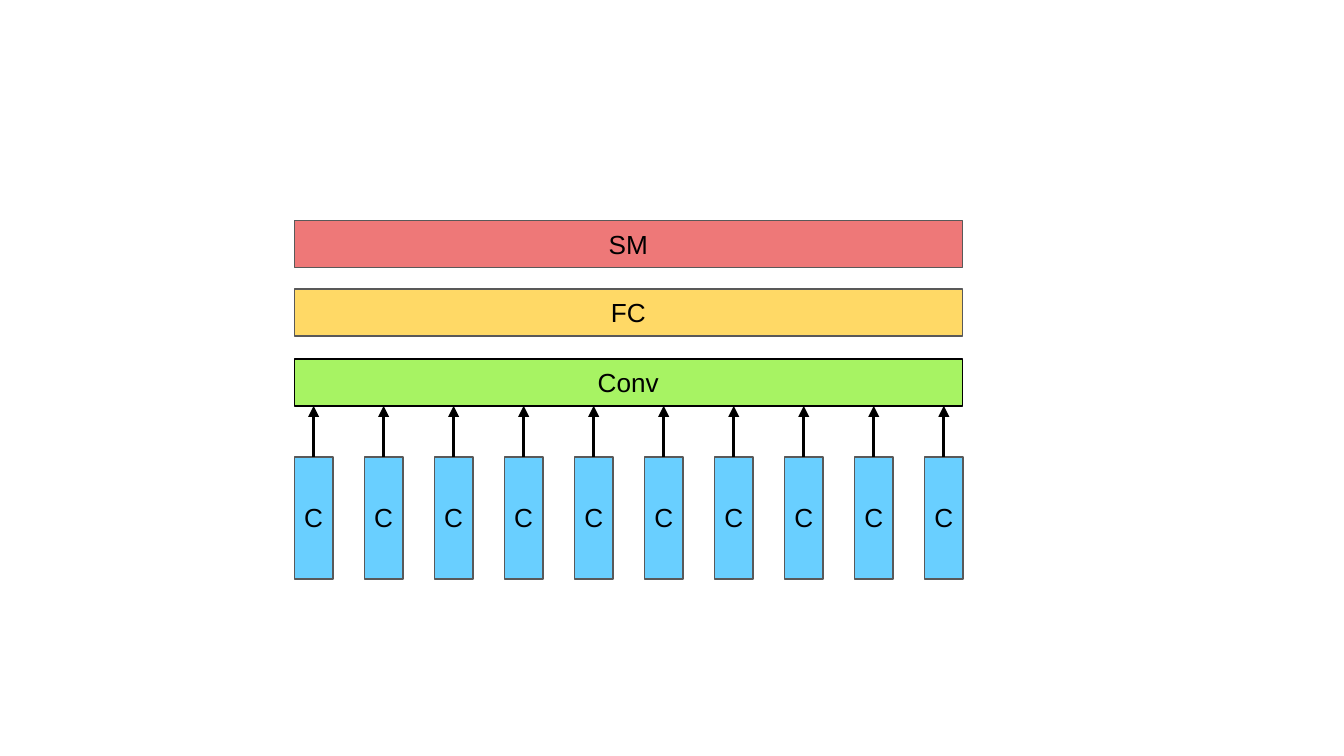
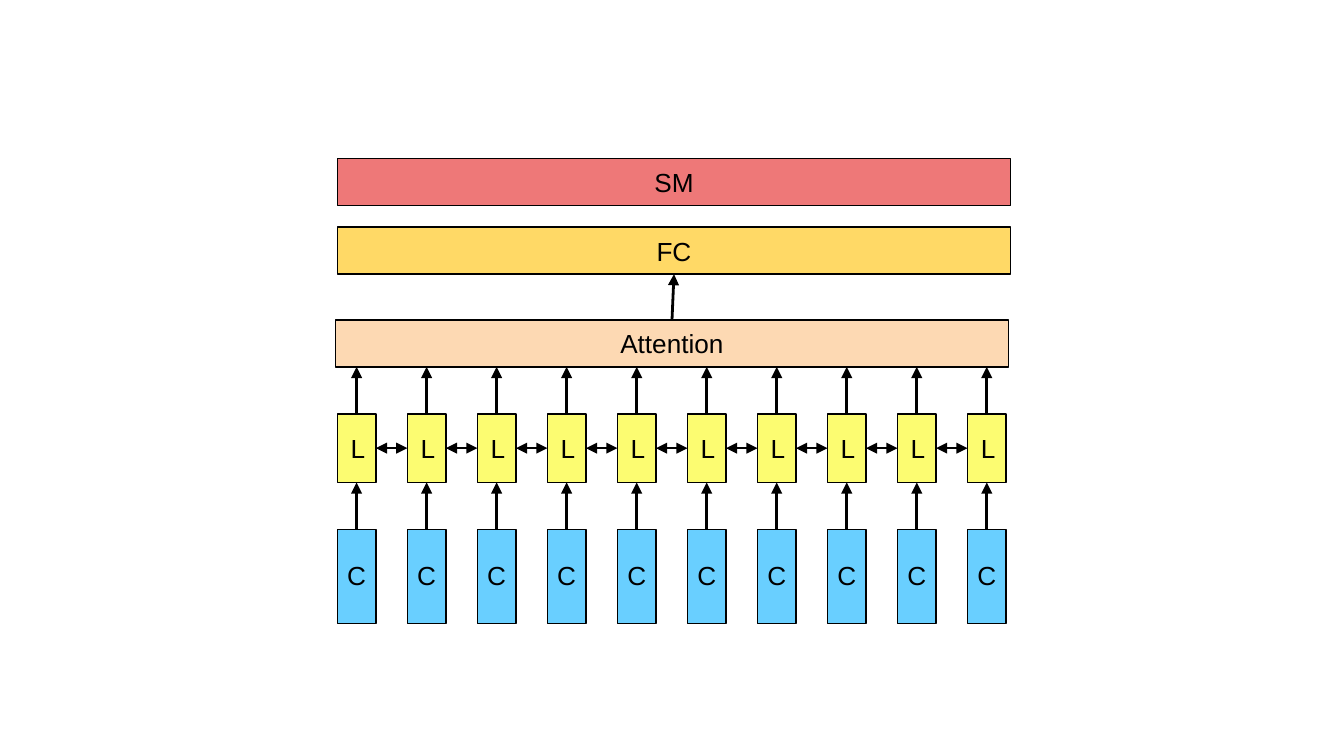
from dataclasses import dataclass

from pptx import Presentation
from pptx import util as u
from pptx.dml.color import RGBColor
from pptx.enum import shapes, text
from pptx.oxml.ns import qn
from lxml import etree

# Shared look
BLACK = RGBColor(0x00, 0x00, 0x00)
GREY = RGBColor(0x59, 0x59, 0x59)
BLUE = RGBColor(0x69, 0xCF, 0xFF)
RED = RGBColor(0xEE, 0x78, 0x78)
GOLD = RGBColor(0xFF, 0xD9, 0x66)
GREEN = RGBColor(0xA7, 0xF3, 0x63)
YELLOW = RGBColor(0xFC, 0xFC, 0x71)
PEACH = RGBColor(0xFD, 0xD9, 0xB3)
FONT = {"name": "Arial", "size": u.Pt(14)}
THIN, THICK = u.Pt(0.75), u.Pt(1.5)
TOP, LEFT, BOTTOM, RIGHT = range(4)

# The slide is a 16:9 grid of square units, 1000 columns wide
UNIT = u.Inches(0.01)
COLUMNS, ROWS = 1000, 562.5
BAR_HEIGHT = 35
CELLS, PITCH, CELL_WIDTH = 10, 52.1, 28.7
LABEL_HEIGHT = 45


@dataclass
class Box:
    left: float
    top: float
    width: float
    height: float

    def stack(self, heights, gaps):
        """Split the box into rows, from top to bottom."""
        rows, top = [], self.top
        for height, gap in zip(heights, [*gaps, 0]):
            rows.append(Box(self.left, top, self.width, height))
            top += height + gap
        return rows

    def cells(self):
        return [Box(self.left + i * PITCH, self.top, CELL_WIDTH, self.height)
                for i in range(CELLS)]

    def label(self):
        """A text area one pitch wide, centred on the box."""
        return Box(self.left + (self.width - PITCH) / 2,
                   self.top + (self.height - LABEL_HEIGHT) / 2,
                   PITCH, LABEL_HEIGHT)

    def lengths(self):
        return [round(n * UNIT) for n in
                (self.left, self.top, self.width, self.height)]


def write(shape, words, align, anchor):
    frame = shape.text_frame
    margins = {f"margin_{side}": u.Inches(0.1)
               for side in ("left", "top", "right", "bottom")}
    for name, value in {**margins, "word_wrap": True,
                        "vertical_anchor": anchor}.items():
        setattr(frame, name, value)
    para = frame.paragraphs[0]
    para.alignment = align
    span = para.add_run()
    span.text = words
    for name, value in FONT.items():
        setattr(span.font, name, value)
    span.font.color.rgb = BLACK


def add_block(page, box, fill, line, words=None, align=text.PP_ALIGN.CENTER):
    block = page.shapes.add_shape(shapes.MSO_SHAPE.RECTANGLE, *box.lengths())
    block.shadow.inherit = False
    block.fill.solid()
    block.fill.fore_color.rgb = fill
    block.line.color.rgb = line
    block.line.width = THIN
    if words:
        write(block, words, align, text.MSO_ANCHOR.MIDDLE)
    return block


def add_arrow(page, start, start_side, end, end_side=None, width=THICK,
              ends=("tailEnd",)):
    """Join two blocks; without an end side, go straight up to the end block."""
    middle = start.left + start.width // 2
    arrow = page.shapes.add_connector(
        shapes.MSO_CONNECTOR.STRAIGHT,
        middle, start.top, middle, end.top + end.height)
    arrow.begin_connect(start, start_side)
    if end_side is not None:
        arrow.end_connect(end, end_side)
    arrow.line.color.rgb = BLACK
    arrow.line.width = width
    properties = arrow._element.spPr
    for tag in ends:
        etree.SubElement(properties.find(qn("a:ln")), qn(f"a:{tag}"),
                         type="triangle")
    etree.SubElement(properties, qn("a:effectLst"))


def add_char_row(page, row, line):
    """Blue character cells, each with its own label."""
    blocks = []
    for cell in row.cells():
        blocks.append(add_block(page, cell, BLUE, line))
        label = page.shapes.add_textbox(*cell.label().lengths())
        write(label, "C", text.PP_ALIGN.CENTER, text.MSO_ANCHOR.TOP)
    return blocks


def add_lstm_row(page, row):
    """Yellow cells, linked both ways with their neighbours."""
    blocks = [add_block(page, cell, YELLOW, BLACK, "L", text.PP_ALIGN.LEFT)
              for cell in row.cells()]
    for block, neighbour in zip(blocks, blocks[1:]):
        add_arrow(page, block, RIGHT, neighbour, LEFT, THIN,
                  ("headEnd", "tailEnd"))
    return blocks


def build_conv_slide(page, box):
    sm, fc, conv, chars = box.stack(
        [BAR_HEIGHT] * 3 + [91], [16, 17, 38])
    add_block(page, sm, RED, GREY, "SM")
    add_block(page, fc, GOLD, GREY, "FC")
    conv_bar = add_block(page, conv, GREEN, BLACK, "Conv")
    for block in add_char_row(page, chars, GREY):
        add_arrow(page, block, TOP, conv_bar)


def build_attention_slide(page, box):
    sm, fc, attention, lstm, chars = box.stack(
        [BAR_HEIGHT] * 3 + [51, 70], [16, 34, 35, 35])
    attention.left -= 1.5
    add_block(page, sm, RED, BLACK, "SM")
    fc_bar = add_block(page, fc, GOLD, BLACK, "FC")
    attention_bar = add_block(page, attention, PEACH, BLACK, "Attention")
    add_arrow(page, attention_bar, TOP, fc_bar, BOTTOM)
    lstm_blocks = add_lstm_row(page, lstm)
    char_blocks = add_char_row(page, chars, BLACK)
    for char_block, lstm_block in zip(char_blocks, lstm_blocks):
        add_arrow(page, char_block, TOP, lstm_block, BOTTOM)
        add_arrow(page, lstm_block, TOP, attention_bar)


def main():
    deck = Presentation()
    deck.slide_width = COLUMNS * UNIT
    deck.slide_height = round(ROWS * UNIT)
    blank = deck.slide_layouts[6]
    build_conv_slide(deck.slides.add_slide(blank), Box(219, 164, 497, 267))
    build_attention_slide(deck.slides.add_slide(blank),
                          Box(251, 118, 501, 346))
    deck.save("out.pptx")


if __name__ == "__main__":
    main()
